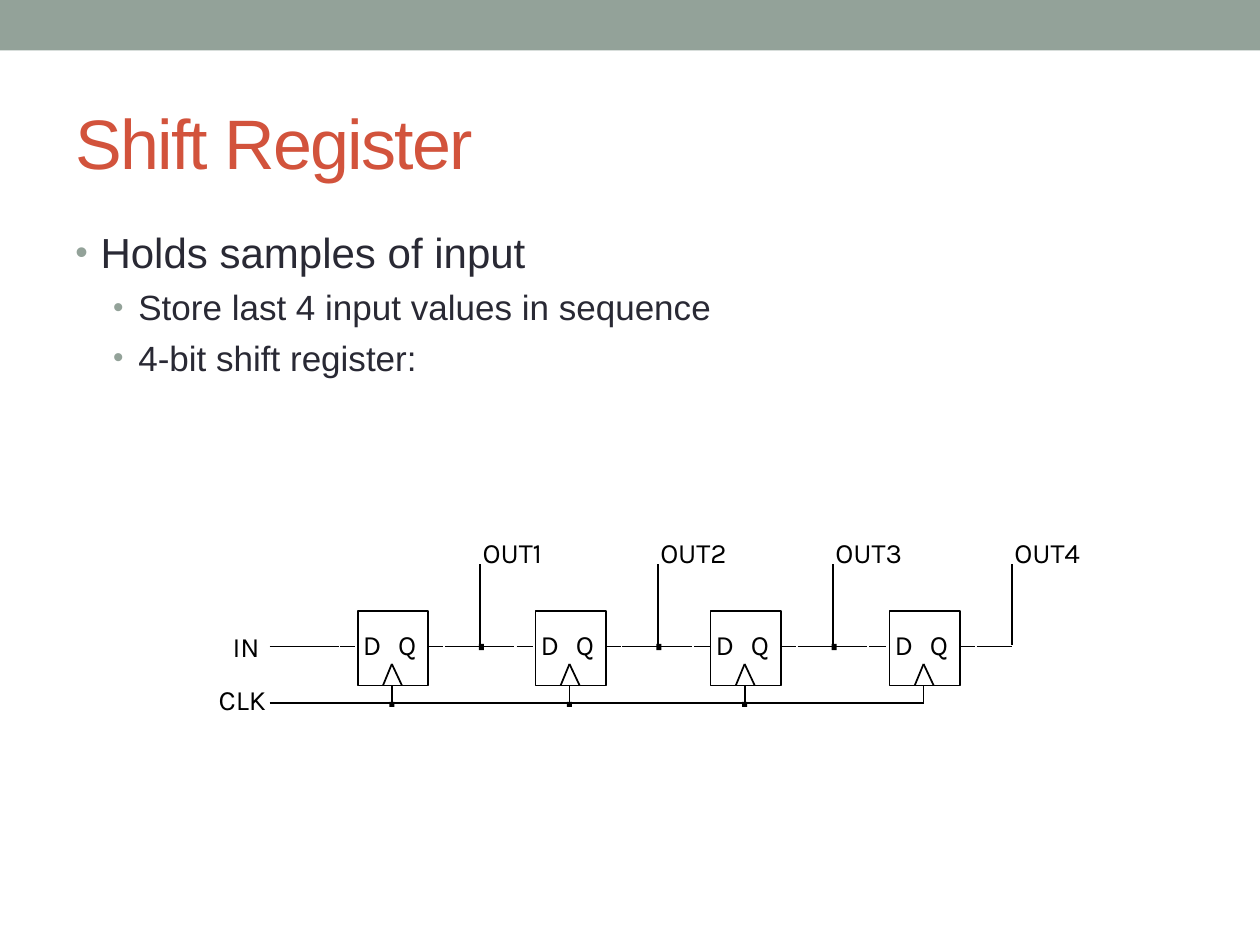
from dataclasses import dataclass

from lxml.etree import SubElement
from pptx import Presentation
from pptx.dml.color import RGBColor as RGB
from pptx.enum.shapes import MSO_CONNECTOR as CONN, MSO_SHAPE as SHAPE
from pptx.enum.text import MSO_ANCHOR as ANCHOR, PP_ALIGN as ALIGN
from pptx.oxml.ns import qn
from pptx.util import Inches, Pt


@dataclass(frozen=True)
class Theme:
    band: RGB = RGB(0x93, 0xA2, 0x99)
    title: RGB = RGB(0xD2, 0x53, 0x3C)
    body: RGB = RGB(0x29, 0x29, 0x34)
    ink: RGB = RGB(0, 0, 0)
    paper: RGB = RGB(255, 255, 255)
    font: str = "Arial"
    label_font: str = "Karla"
    title_size: int = 40
    body_sizes: tuple = (24, 20)
    label_size: int = 16
    label_leading: float = 16.8
    line: int = 1


T = Theme()

BULLETS = [
    (0, "Holds samples of input"),
    (1, "Store last 4 input values in sequence"),
    (1, "4-bit shift register:"),
]
INDENTS = (0.2, 0.5)

# Schematic layout, in inches
FLIP_FLOPS = (2.84, 4.25, 5.64, 7.06)
BOX_W, BOX_TOP, BOX_BOTTOM = 0.56, 4.85, 5.44
DATA_Y, CLOCK_Y, OUT_TOP = 5.13, 5.58, 4.48
CLOCK_DX, OUT_DX = 0.27, 0.97
WIRE_START = 2.14


def set_all(obj, values):
    for name, value in values.items():
        setattr(obj, name, value)


def add_rect(shapes, x, y, w, h, fill, line=None):
    sp = shapes.add_shape(SHAPE.RECTANGLE, *map(Inches, (x, y, w, h)))
    sp.shadow.inherit = False
    sp.fill.solid()
    sp.fill.fore_color.rgb = fill
    if line is None:
        sp.line.fill.background()
    else:
        sp.line.color.rgb = line
        sp.line.width = Pt(T.line)


def add_wire(shapes, x1, y1, x2, y2):
    cx = shapes.add_connector(CONN.STRAIGHT, *map(Inches, (x1, y1, x2, y2)))
    cx.line.color.rgb = T.ink
    cx.line.width = Pt(T.line)
    SubElement(cx._element.spPr, qn("a:effectLst"))


def add_run(p, text, font, size, color):
    r = p.add_run()
    r.text = text
    set_all(r.font, {"name": font, "size": Pt(size)})
    r.font.color.rgb = color
    return r


def add_label(shapes, x, y, w, text, align=ALIGN.LEFT):
    tf = shapes.add_textbox(*map(Inches, (x, y, w, 0.37))).text_frame
    set_all(tf, {
        "word_wrap": False,
        "margin_left": Inches(0.02), "margin_right": Inches(0.02),
        "margin_top": Inches(0.03), "margin_bottom": Inches(0.03),
    })
    p = tf.paragraphs[0]
    set_all(p, {"alignment": align, "line_spacing": Pt(T.label_leading)})
    add_run(p, text, T.label_font, T.label_size, T.ink)


def add_title(shapes, text):
    tf = shapes.add_textbox(*map(Inches, (0.5, 0.58, 9, 1.08))).text_frame
    set_all(tf, {"word_wrap": True, "vertical_anchor": ANCHOR.MIDDLE})
    r = add_run(tf.paragraphs[0], text, T.font, T.title_size, T.title)
    r.font._element.set("spc", "-100")


def add_bullets(shapes, items):
    tf = shapes.add_textbox(*map(Inches, (0.5, 1.75, 9, 5.33))).text_frame
    tf.word_wrap = True
    for i, (level, text) in enumerate(items):
        p = tf.add_paragraph() if i else tf.paragraphs[0]
        set_all(p, {"level": level, "space_before": Pt(5)})
        pPr = p._p.get_or_add_pPr()
        pPr.set("marL", str(Inches(INDENTS[level])))
        pPr.set("indent", str(Inches(-0.2)))
        color = SubElement(pPr, qn("a:buClr"))
        SubElement(color, qn("a:srgbClr"), val=str(T.band))
        SubElement(pPr, qn("a:buSzPct"), val="85000")
        SubElement(pPr, qn("a:buFont"), typeface=T.font)
        SubElement(pPr, qn("a:buChar"), char="•")
        add_run(p, text, T.font, T.body_sizes[level], T.body)


def add_flip_flop(shapes, x):
    add_rect(shapes, x, BOX_TOP, BOX_W, BOX_BOTTOM - BOX_TOP, T.paper, T.ink)
    # Clock input triangle
    apex = x + CLOCK_DX
    for dx in (-0.07, 0.08):
        add_wire(shapes, apex + dx, BOX_BOTTOM, apex, 5.27)
    add_label(shapes, x + 0.02, 4.98, 0.27, "D")
    add_label(shapes, x + 0.3, 4.98, 0.27, "Q")


def add_output(shapes, x, name, last):
    tap = x + OUT_DX
    # Data line: pin stubs at both ends, with small gaps to the wire
    segments = [(BOX_W, 0.68), (0.69, OUT_DX)]
    if not last:
        segments += [(OUT_DX, 1.24), (1.26, 1.39)]
        add_rect(shapes, tap - 0.01, DATA_Y - 0.02, 0.04, 0.05, T.ink)
    for start, end in segments:
        add_wire(shapes, x + start, DATA_Y, x + end, DATA_Y)
    add_wire(shapes, tap, OUT_TOP, tap, DATA_Y - 0.01)
    add_label(shapes, tap, 4.25, 0.78, name)


def add_clock_tap(shapes, x, last):
    tap = x + CLOCK_DX
    add_wire(shapes, tap, BOX_BOTTOM, tap, CLOCK_Y - 0.01)
    if not last:
        add_rect(shapes, tap - 0.02, CLOCK_Y - 0.01, 0.04, 0.04, T.ink)


def add_register(shapes):
    # Input and clock lines
    add_label(shapes, 1.5, 5, 0.58, "IN", ALIGN.RIGHT)
    add_wire(shapes, WIRE_START, DATA_Y, 2.69, DATA_Y)
    add_wire(shapes, 2.7, DATA_Y, 2.82, DATA_Y)
    add_label(shapes, 1.58, 5.42, 0.55, "CLK", ALIGN.RIGHT)
    add_wire(shapes, WIRE_START, CLOCK_Y, FLIP_FLOPS[-1] + CLOCK_DX, CLOCK_Y)

    # One stage per bit
    for bit, x in enumerate(FLIP_FLOPS, 1):
        last = bit == len(FLIP_FLOPS)
        add_flip_flop(shapes, x)
        add_output(shapes, x, f"OUT{bit}", last)
        add_clock_tap(shapes, x, last)


def main():
    prs = Presentation()
    set_all(prs, {"slide_width": Inches(10), "slide_height": Inches(7.5)})
    s = prs.slides.add_slide(prs.slide_layouts[6])

    add_rect(s.shapes, 0, 0, 10, 0.4, T.band)
    add_register(s.shapes.add_group_shape().shapes)
    add_title(s.shapes, "Shift Register")
    add_bullets(s.shapes, BULLETS)

    prs.save("out.pptx")


if __name__ == "__main__":
    main()
